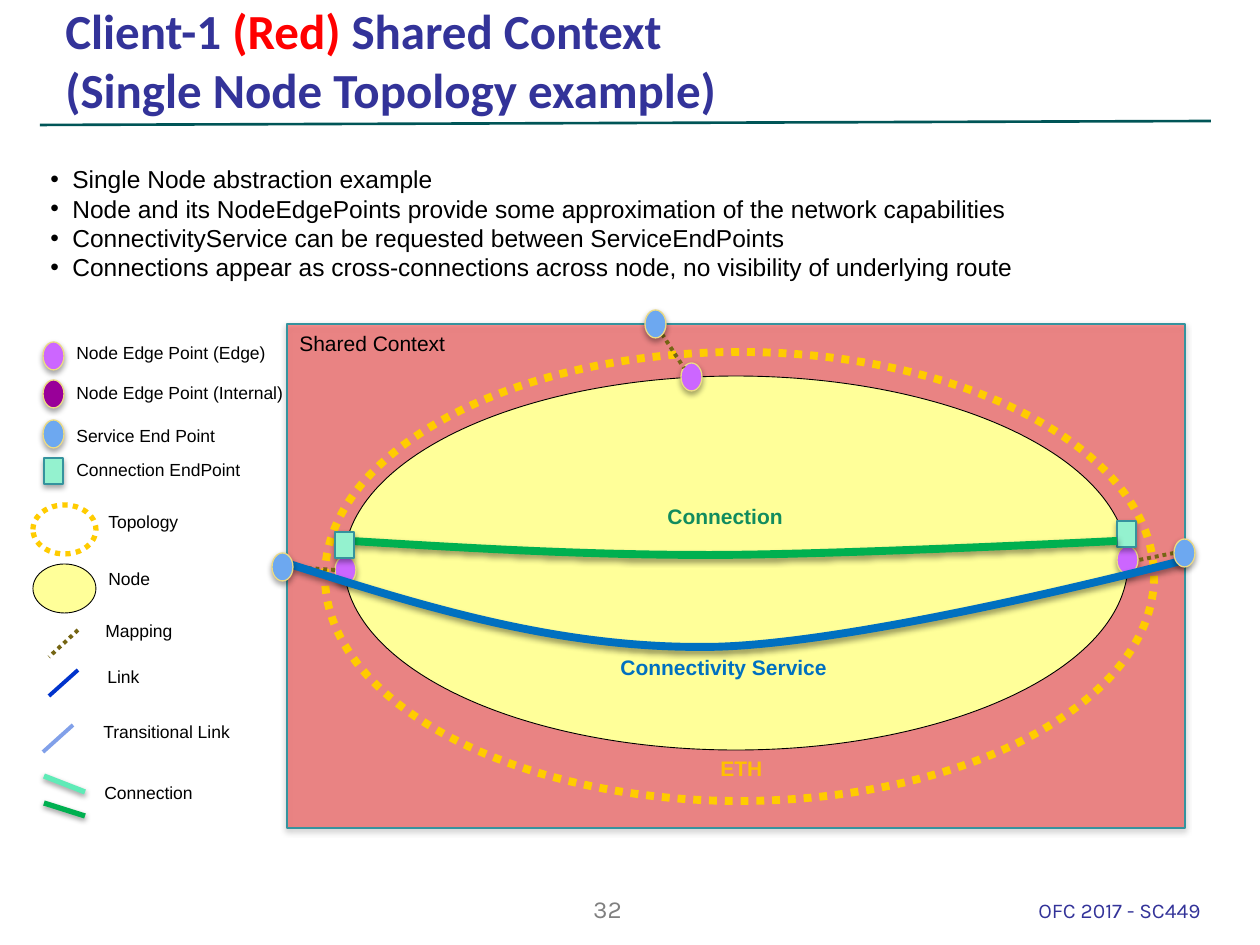
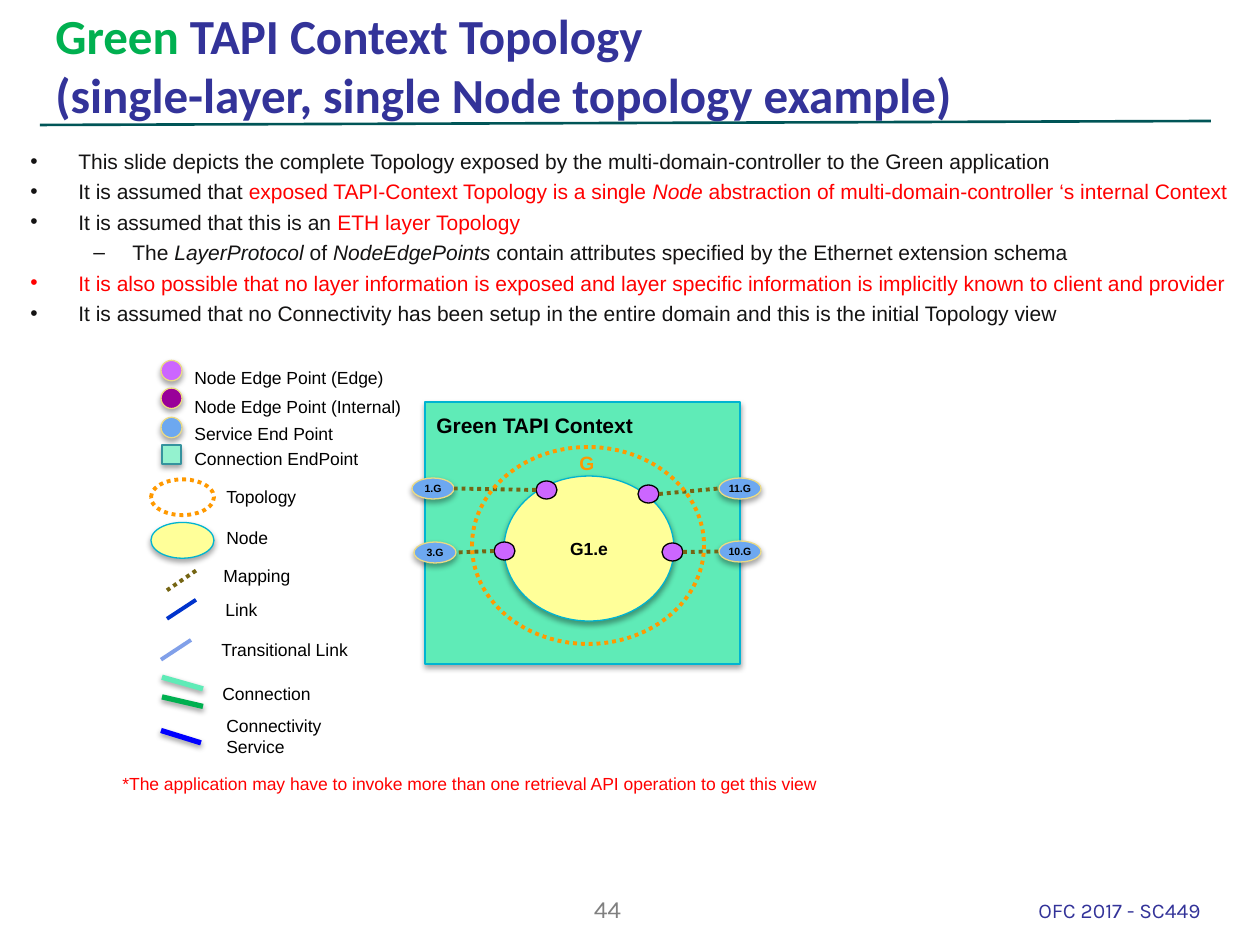
from lxml.etree import SubElement
from pptx import Presentation
from pptx.dml.color import RGBColor
from pptx.enum.dml import MSO_LINE
from pptx.enum.shapes import MSO_CONNECTOR, MSO_SHAPE
from pptx.enum.text import MSO_ANCHOR, PP_ALIGN
from pptx.oxml.ns import qn
from pptx.util import Pt

EMU_PER_PX = 914400 / 126
RECT, OVAL = MSO_SHAPE.RECTANGLE, MSO_SHAPE.OVAL
LEFT, CENTER = PP_ALIGN.LEFT, PP_ALIGN.CENTER

BLACK, NAVY, RED, GREEN, INK = "000000", "333399", "FF0000", "00B050", "141313"
MINT, GOLD, SERVICE_BLUE = "5FEBB7", "FFCC00", "0070C0"

# Looks of the model elements, used in the diagrams and in the legends
SHAPE_SHADOW, LINE_SHADOW = (35, 23000), (38, 20000)
POINT = dict(line="EBDA84", shadow=SHAPE_SHADOW)
EDGE_POINT = dict(POINT, fill="CC66FF")
INTERNAL_POINT = dict(POINT, fill="990099")
SERVICE_POINT = dict(POINT, fill="6DA8F0")
CONNECTION_POINT = dict(fill="94F2CF", line="35939E", shadow=SHAPE_SHADOW)
PLAIN_NODE = dict(fill="FFFF99", line=BLACK, width=0.5)
SHADED_NODE = dict(fill="FFFF99", line="00B4D1", shadow=SHAPE_SHADOW)
TOPOLOGY = dict(line=GOLD, width=4.5, dotted=True)
SMALL_TOPOLOGY = dict(line="FF9900", width=2.25, dotted=True)
MAPPING = dict(line="756513", width=2.25, dotted=True)
POINT_SIZE, SQUARE_SIZE = (21, 28), (19, 26)


def px(length):
    return round(length * EMU_PER_PX)


def rgb(value):
    return RGBColor.from_string(value)


def paint(shape, fill=None, line=BLACK, width=0.75, dotted=False, shadow=None, alpha=None):
    """Set fill, outline and shadow; shadow is (opacity percent, distance in EMU)."""
    properties = shape._element.spPr
    if fill:
        shape.fill.solid()
        shape.fill.fore_color.rgb = rgb(fill)
        if alpha:
            tint = properties.find(qn("a:solidFill"))[0]
            SubElement(tint, qn("a:alpha"), val=str(alpha * 1000))
    elif hasattr(shape, "fill"):
        shape.fill.background()
    shape.line.color.rgb = rgb(line)
    shape.line.width = Pt(width)
    if dotted:
        shape.line.dash_style = MSO_LINE.ROUND_DOT
    effects = SubElement(properties, qn("a:effectLst"))
    if shadow:
        opacity, distance = shadow
        cast = SubElement(effects, qn("a:outerShdw"), blurRad="40000", dist=str(distance),
                          dir="5400000", rotWithShape="0")
        shade = SubElement(cast, qn("a:srgbClr"), val=BLACK)
        SubElement(shade, qn("a:alpha"), val=str(opacity * 1000))


def add_figure(shapes, kind, x, y, width, height, look):
    figure = shapes.add_shape(kind, px(x), px(y), px(width), px(height))
    paint(figure, **look)
    return figure


def add_line(shapes, start, end, look):
    line = shapes.add_connector(MSO_CONNECTOR.STRAIGHT, *map(px, (*start, *end)))
    paint(line, **look)


def add_curve(shapes, origin, points, look):
    """Draw cubic curves through points: a start, then three points per curve."""
    left, top = origin
    start, *rest = [(px(left + x), px(top + y)) for x, y in points]
    builder = shapes.build_freeform(*start)
    builder.add_line_segments(rest, close=False)
    curve = builder.convert_to_shape()
    steps = list(curve._element.iter(qn("a:lnTo")))
    for first, *others in zip(steps[::3], steps[1::3], steps[2::3]):
        for step in others:
            first.append(step[0])
            step.getparent().remove(step)
        first.tag = qn("a:cubicBezTo")
    paint(curve, **look)


def set_font(font, size, color, name="Arial", bold=False, italic=False):
    values = dict(size=Pt(size), name=name, bold=bold, italic=italic)
    for attribute, value in values.items():
        setattr(font, attribute, value)
    font.color.rgb = rgb(color)


def write_runs(paragraph, runs, align=LEFT, **style):
    """Write runs, each a string or a (string, style changes) pair."""
    paragraph.alignment = align
    for part in runs:
        words, changes = (part, {}) if isinstance(part, str) else part
        run = paragraph.add_run()
        run.text = words
        set_font(run.font, **{**style, **changes})


def add_text(shapes, x, y, width, height, lines, wrap=True, bullets=None, gap=0, **style):
    """Add a box of lines; bullets holds one (sign, indent, hang) for each line."""
    box = shapes.add_textbox(px(x), px(y), px(width), px(height))
    frame = box.text_frame
    frame.word_wrap = wrap
    for number, runs in enumerate(lines):
        paragraph = frame.add_paragraph() if number else frame.paragraphs[0]
        if bullets:
            sign, indent, hang = bullets[number]
            settings = paragraph._p.get_or_add_pPr()
            settings.set("marL", str(px(indent)))
            settings.set("indent", str(-px(hang)))
            SubElement(settings, qn("a:buFont"), typeface="Arial")
            SubElement(settings, qn("a:buChar"), char=sign)
        if number and gap:
            paragraph.space_before = Pt(gap)
        write_runs(paragraph, runs, **style)
    return frame


def write_inside(figure, words, size, side_inset):
    frame = figure.text_frame
    frame.margin_left = frame.margin_right = px(side_inset)
    frame.margin_top = frame.margin_bottom = px(6)
    frame.vertical_anchor = MSO_ANCHOR.MIDDLE
    write_runs(frame.paragraphs[0], [words], CENTER, size=size, color=BLACK, bold=True)


def add_frame(deck, title_at, title_lines, number):
    """Add a slide with its title, rule, slide number and footer."""
    shapes = deck.slides.add_slide(deck.slide_layouts[6]).shapes
    add_line(shapes, (40, 125), (1211, 121), dict(line="005557", width=1.5))
    title = add_text(shapes, *title_at, 1134, 118, title_lines,
                     size=28, color=NAVY, name="Calibri", bold=True)
    title.margin_top = title.margin_bottom = 0
    title.vertical_anchor = MSO_ANCHOR.BOTTOM
    add_text(shapes, 547, 888, 121, 50, [[str(number)]],
             align=CENTER, size=14, color="808080", name="Karla")
    add_text(shapes, 1026, 891, 227, 35, [["OFC 2017 - SC449"]],
             size=12, color=NAVY, name="Karla")
    return shapes


def add_legend(shapes, left, top, node, topology, stretch=1, edge_label_drop=0,
               with_service=False):
    """Draw the key; stretch scales its heights, edge_label_drop lowers two labels."""
    key = shapes.add_group_shape().shapes
    figures = [
        (OVAL, 10, 6, POINT_SIZE, EDGE_POINT),
        (OVAL, 10, 44, POINT_SIZE, INTERNAL_POINT),
        (OVAL, 10, 84, POINT_SIZE, SERVICE_POINT),
        (RECT, 11, 122, SQUARE_SIZE, CONNECTION_POINT),
        (OVAL, 0, 169, (63, 49), topology),
        (OVAL, 0, 228, (63, 49), node),
    ]
    strokes = [
        ((45, 294), (16, 321), MAPPING),
        ((45, 334), (16, 360), dict(line="0033CC", width=2.25)),
        ((40, 389), (10, 416), dict(line="81A0E9", width=2.25)),
        ((11, 440), (52, 456), dict(line=MINT, width=3, shadow=LINE_SHADOW)),
        ((11, 467), (52, 480), dict(line=GREEN, width=3, shadow=LINE_SHADOW)),
    ]
    labels = [
        ("Node Edge Point (Edge)", 31, 0, edge_label_drop),
        ("Node Edge Point (Internal)", 31, 40, edge_label_drop),
        ("Service End Point", 31, 83, 0),
        ("Connection EndPoint", 31, 117, 0),
        ("Topology", 63, 169, 0),
        ("Node", 63, 226, 0),
        ("Mapping", 60, 278, 0),
        ("Link", 62, 324, 0),
        ("Transitional Link", 58, 379, 0),
        ("Connection", 59, 440, 0),
    ]
    if with_service:
        strokes.append(((10, 513), (50, 530), dict(line="0000FF", width=3, shadow=LINE_SHADOW)))
        labels.append(("Connectivity Service", 63, 483, 0))

    def place(x, y):
        return left + x, top + y * stretch

    for kind, x, y, (width, height), look in figures:
        add_figure(key, kind, *place(x, y), width, height * stretch, look)
    for start, end, look in strokes:
        add_line(key, place(*start), place(*end), look)
    for words, x, y, drop in labels:
        label_x, label_y = place(x, y)
        width = 141 if words == "Connectivity Service" else 236
        add_text(key, label_x, label_y + drop, width, 34 * stretch, [[words]],
                 size=10, color=BLACK)


def add_shared_context(shapes, left, top, width, height):
    def place(x, y):
        return left + x, top + y

    def add_points(kind, size, look, spots):
        for spot in spots:
            add_figure(shapes, kind, *place(*spot), *size, look)

    add_figure(shapes, RECT, left, top, width, height,
               dict(fill=RED, alpha=40, line="35939E", shadow=SHAPE_SHADOW))
    add_figure(shapes, OVAL, *place(38, 28), 829, 449, TOPOLOGY)
    add_figure(shapes, OVAL, *place(57, 52), 784, 374, PLAIN_NODE)
    add_points(OVAL, POINT_SIZE, EDGE_POINT, [(48, 232), (394, 39), (830, 222)])
    for start, end in [((48, 246), (6, 243)), ((887, 229), (852, 236)), ((375, 10), (397, 44))]:
        add_line(shapes, place(*start), place(*end), MAPPING)
    add_points(OVAL, POINT_SIZE, SERVICE_POINT, [(358, -14)])
    add_points(RECT, SQUARE_SIZE, CONNECTION_POINT, [(830, 197)])

    connection = [(64, 217), (179, 224), (295, 231), (422, 231),
                  (549, 231), (830, 217), (830, 217)]
    service = [(-1, 239), (134, 282), (268, 324), (418, 323),
               (568, 323), (898, 236), (898, 236)]
    for points, color in [(connection, GREEN), (service, SERVICE_BLUE)]:
        add_curve(shapes, (left, top), points,
                  dict(line=color, width=4.5, shadow=LINE_SHADOW))
    add_points(OVAL, POINT_SIZE, SERVICE_POINT, [(-15, 229), (887, 215)])
    add_points(RECT, SQUARE_SIZE, CONNECTION_POINT, [(48, 208)])

    for words, x, y, label_width, color, bold in [
        ("Shared Context", 0, 0, 174, BLACK, False),
        ("ETH", 421, 425, 68, "FFC000", True),
        ("Connection", 368, 173, 142, "118C5E", True),
        ("Connectivity Service", 321, 324, 234, SERVICE_BLUE, True),
    ]:
        add_text(shapes, *place(x, y), label_width, 38, [[words]], wrap=False,
                 size=12, color=color, bold=bold)


def add_green_context(shapes, left, top, width, height):
    add_figure(shapes, RECT, left, top, width, height,
               dict(fill=MINT, line="00B4D1", shadow=SHAPE_SHADOW))
    node = add_figure(shapes, OVAL, left + 79, top + 74, 170, 145, SHADED_NODE)
    write_inside(node, "G1.e", 10, 6)

    service_w, service_h, edge_w, edge_h = 42, 21, 21, 18
    for name, (service_x, service_y), (edge_x, edge_y) in [
        ("1.G", (-13, 76), (111, 79)),
        ("3.G", (-11, 140), (69, 140)),
        ("11.G", (294, 76), (213, 83)),
        ("10.G", (294, 139), (237, 141)),
    ]:
        service = add_figure(shapes, OVAL, left + service_x, top + service_y,
                             service_w, service_h, SERVICE_POINT)
        write_inside(service, name, 6, 0)
        add_figure(shapes, OVAL, left + edge_x, top + edge_y, edge_w, edge_h,
                   dict(fill="CC66FF", line=BLACK))
        if service_x < edge_x:
            service_x += service_w
        else:
            edge_x += edge_w
        add_line(shapes, (left + edge_x, top + edge_y + edge_h / 2),
                 (left + service_x, top + service_y + service_h / 2), MAPPING)

    add_figure(shapes, OVAL, left + 47, top + 45, 232, 197, SMALL_TOPOLOGY)
    add_text(shapes, left + 142, top + 43, 40, 37, [["G"]], wrap=False,
             size=11, color="FF9900", bold=True)
    add_text(shapes, left - 1, top + 4, 224, 38, [["Green TAPI Context"]], wrap=False,
             size=12, color=BLACK, bold=True)


def build_shared_context_slide(deck):
    shapes = add_frame(deck, (53, 0), [
        ["Client-1 ", ("(Red) ", dict(color=RED)), "Shared Context"],
        ["(Single Node Topology example)"],
    ], 32)
    notes = [
        ["Single Node abstraction example"],
        ["Node and its NodeEdgePoints provide some approximation of the network capabilities"],
        ["ConnectivityService can be requested between ServiceEndPoints"],
        ["Connections appear as cross-connections across node, no visibility of underlying route"],
    ]
    add_text(shapes, 38, 158, 1119, 131, notes, bullets=[("•", 22, 22)] * len(notes),
             size=14, color=BLACK)
    add_shared_context(shapes, 287, 324, 898, 504)
    add_legend(shapes, 33, 336, PLAIN_NODE, dict(TOPOLOGY, width=3))


def build_green_context_slide(deck):
    shapes = add_frame(deck, (43, 5), [
        [("Green", dict(color=GREEN)), " TAPI Context Topology"],
        ["(single-layer, single Node topology example)"],
    ], 44)
    red, italic = dict(color=RED), dict(italic=True)
    main, sub = ("•", 48, 48), ("–", 102, 39)
    add_text(shapes, 18, 142, 1224, 168, [
        ["This slide depicts the complete Topology exposed by the multi-domain-controller"
         " to the Green application"],
        ["It is assumed that ", ("exposed TAPI-Context Topology is a single ", red),
         ("Node", {**red, **italic}),
         (" abstraction of multi-domain-controller ‘s internal Context", red)],
        ["It is assumed that this is an ", ("ETH layer Topology", red)],
        ["The ", ("LayerProtocol", italic), " of ", ("NodeEdgePoints", italic),
         " contain attributes specified by the Ethernet extension schema"],
        [("It is also possible that no layer information is exposed and layer specific"
          " information is implicitly known to client and provider", red)],
        ["It is assumed that no Connectivity has been setup in the entire domain and this"
         " is the initial Topology view"],
    ], bullets=[main, main, main, sub, main, main], gap=3, size=12, color=INK)
    add_text(shapes, 110, 767, 829, 34,
             [["*The application may have to invoke more than one retrieval API operation"
               " to get this view"]], size=10, color=RED)
    add_green_context(shapes, 425, 402, 315, 262)
    add_legend(shapes, 151, 356, SHADED_NODE, SMALL_TOPOLOGY, stretch=0.73,
               edge_label_drop=5, with_service=True)


def main():
    deck = Presentation()
    deck.slide_width, deck.slide_height = px(1260), px(945)
    build_shared_context_slide(deck)
    build_green_context_slide(deck)
    deck.save("out.pptx")


if __name__ == "__main__":
    main()
